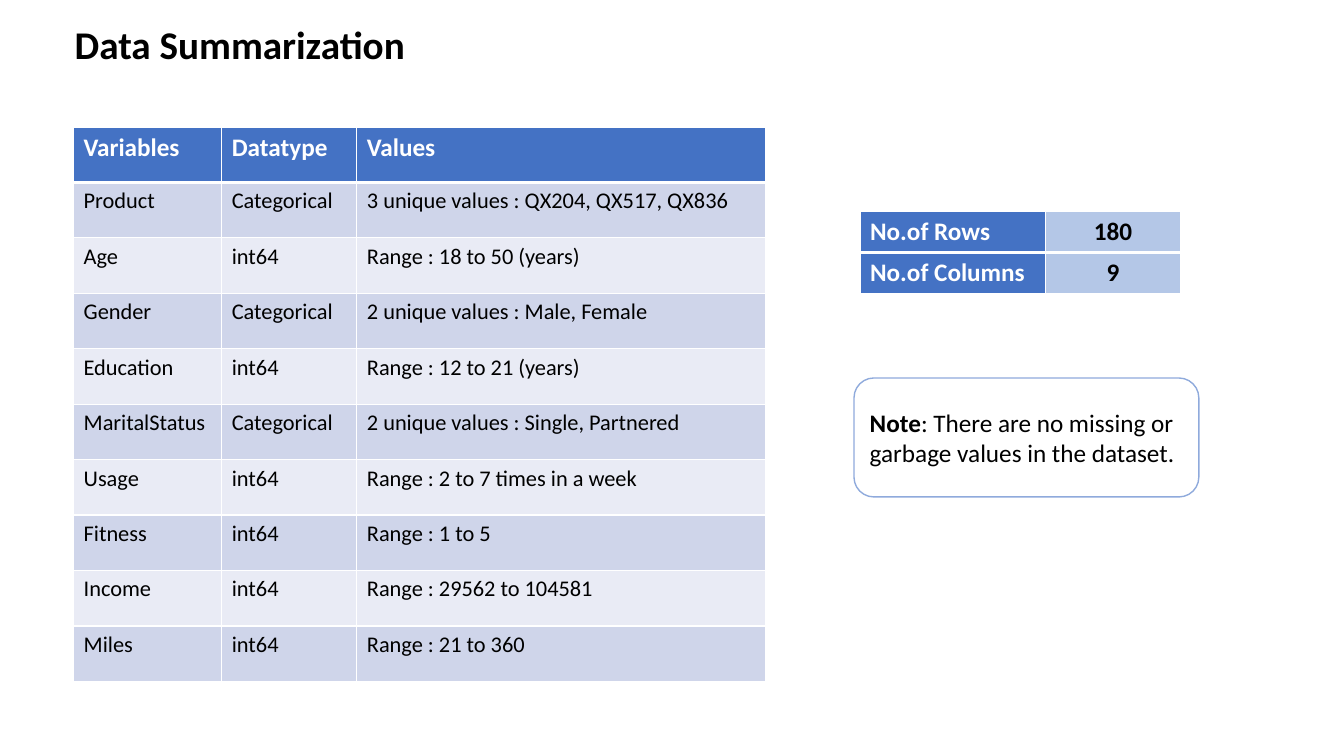
from dataclasses import dataclass

from lxml import etree
from pptx import Presentation
from pptx.dml.color import RGBColor
from pptx.enum.shapes import MSO_SHAPE as Shape
from pptx.enum.text import MSO_ANCHOR as Anchor, MSO_AUTO_SIZE as AutoSize, PP_ALIGN as Align
from pptx.oxml.ns import qn
from pptx.util import Inches, Pt


@dataclass(frozen=True)
class Theme:
    font: str = "Calibri"
    title: int = 28
    strong: int = 18
    body: int = 16
    black: str = "000000"
    white: str = "FFFFFF"
    header: str = "4472C4"
    bands: tuple = ("CFD5EA", "E9EBF5")
    figure: str = "B4C7E7"
    outline: str = "8FAADC"


def set_attrs(obj, values):
    for name, value in values.items():
        setattr(obj, name, value)


def set_borders(cell, color, widths):
    """Draw the cell's borders; widths maps L, R, T, B to points."""
    tc_pr = cell._tc.get_or_add_tcPr()
    for side, width in widths.items():
        ln = etree.SubElement(tc_pr, qn(f"a:ln{side}"), w=str(Pt(width)))
        fill = etree.SubElement(ln, qn("a:solidFill"))
        etree.SubElement(fill, qn("a:srgbClr"), val=color)


class SlideBuilder:
    def __init__(self, prs, theme):
        self.theme = theme
        self.s = prs.slides.add_slide(prs.slide_layouts[5])

    def run(self, p, text, size, color, bold=False):
        r = p.add_run()
        r.text = text
        set_attrs(r.font, {"name": self.theme.font, "size": Pt(size), "bold": bold})
        r.font.color.rgb = RGBColor.from_string(color)

    def title(self, text, box):
        sp = self.s.shapes.title
        set_attrs(sp, dict(zip(("left", "top", "width", "height"), map(Inches, box))))
        tf = sp.text_frame
        set_attrs(tf, {"word_wrap": True, "auto_size": AutoSize.NONE,
                       "vertical_anchor": Anchor.MIDDLE})
        p = tf.paragraphs[0]
        set_attrs(p, {"alignment": Align.LEFT, "line_spacing": 0.9})
        self.run(p, text, self.theme.title, self.theme.black, True)

    def table(self, rows, left, top, col_widths, row_height, style):
        """Add a table; style(row, col) gives fill, size, color, bold and alignment."""
        frame = self.s.shapes.add_table(
            len(rows), len(col_widths), Inches(left), Inches(top),
            Inches(sum(col_widths)), Inches(row_height * len(rows)))
        table = frame.table
        table.horz_banding = False
        for column, width in zip(table.columns, col_widths):
            column.width = Inches(width)
        for i, values in enumerate(rows):
            for j, text in enumerate(values):
                cell = table.cell(i, j)
                fill, size, color, bold, align = style(i, j)
                set_borders(cell, self.theme.white, {
                    "L": 1, "R": 1, "T": 3 if i == 1 else 1, "B": 3 if i == 0 else 1})
                cell.fill.solid()
                cell.fill.fore_color.rgb = RGBColor.from_string(fill)
                p = cell.text_frame.paragraphs[0]
                p.alignment = align
                self.run(p, text, size, color, bold)

    def note(self, label, text, box):
        t = self.theme
        sp = self.s.shapes.add_shape(Shape.ROUNDED_RECTANGLE, *map(Inches, box))
        sp.shadow.inherit = False
        sp.fill.solid()
        sp.fill.fore_color.rgb = RGBColor.from_string(t.white)
        sp.line.color.rgb = RGBColor.from_string(t.outline)
        sp.line.width = Pt(1)
        tf = sp.text_frame
        set_attrs(tf, {"word_wrap": True, "vertical_anchor": Anchor.MIDDLE})
        p = tf.paragraphs[0]
        p.alignment = Align.LEFT
        self.run(p, label, t.strong, t.black, True)
        self.run(p, text, t.strong, t.black)


VARIABLES = [
    ("Variables", "Datatype", "Values"),
    ("Product", "Categorical", "3 unique values : QX204, QX517, QX836"),
    ("Age", "int64", "Range : 18 to 50 (years)"),
    ("Gender", "Categorical", "2 unique values : Male, Female"),
    ("Education", "int64", "Range : 12 to 21 (years)"),
    ("MaritalStatus", "Categorical", "2 unique values : Single, Partnered"),
    ("Usage", "int64", "Range : 2 to 7 times in a week"),
    ("Fitness", "int64", "Range : 1 to 5"),
    ("Income", "int64", "Range : 29562 to 104581"),
    ("Miles", "int64", "Range : 21 to 360"),
]
DIMENSIONS = [("No.of Rows", "180"), ("No.of Columns", "9")]


def main():
    prs = Presentation()
    set_attrs(prs, {"slide_width": Inches(13.33), "slide_height": Inches(7.5)})
    t = Theme()
    heading = (t.header, t.strong, t.white, True, Align.LEFT)

    def variable_style(row, col):
        if row == 0:
            return heading
        return t.bands[(row - 1) % 2], t.body, t.black, False, Align.LEFT

    def dimension_style(row, col):
        if col == 0:
            return heading
        return t.figure, t.strong, t.black, True, Align.CENTER

    slide = SlideBuilder(prs, t)
    slide.title("Data Summarization", (0.64, 0.08, 11.5, 0.76))
    slide.table(VARIABLES, 0.73, 1.26, (1.47, 1.34, 4.05), 0.55, variable_style)
    slide.table(DIMENSIONS, 8.53, 2.1, (1.84, 1.34), 0.4, dimension_style)
    slide.note("Note", ": There are no missing or garbage values in the dataset.",
               (8.47, 3.75, 3.42, 1.18))
    prs.save("out.pptx")


if __name__ == "__main__":
    main()
